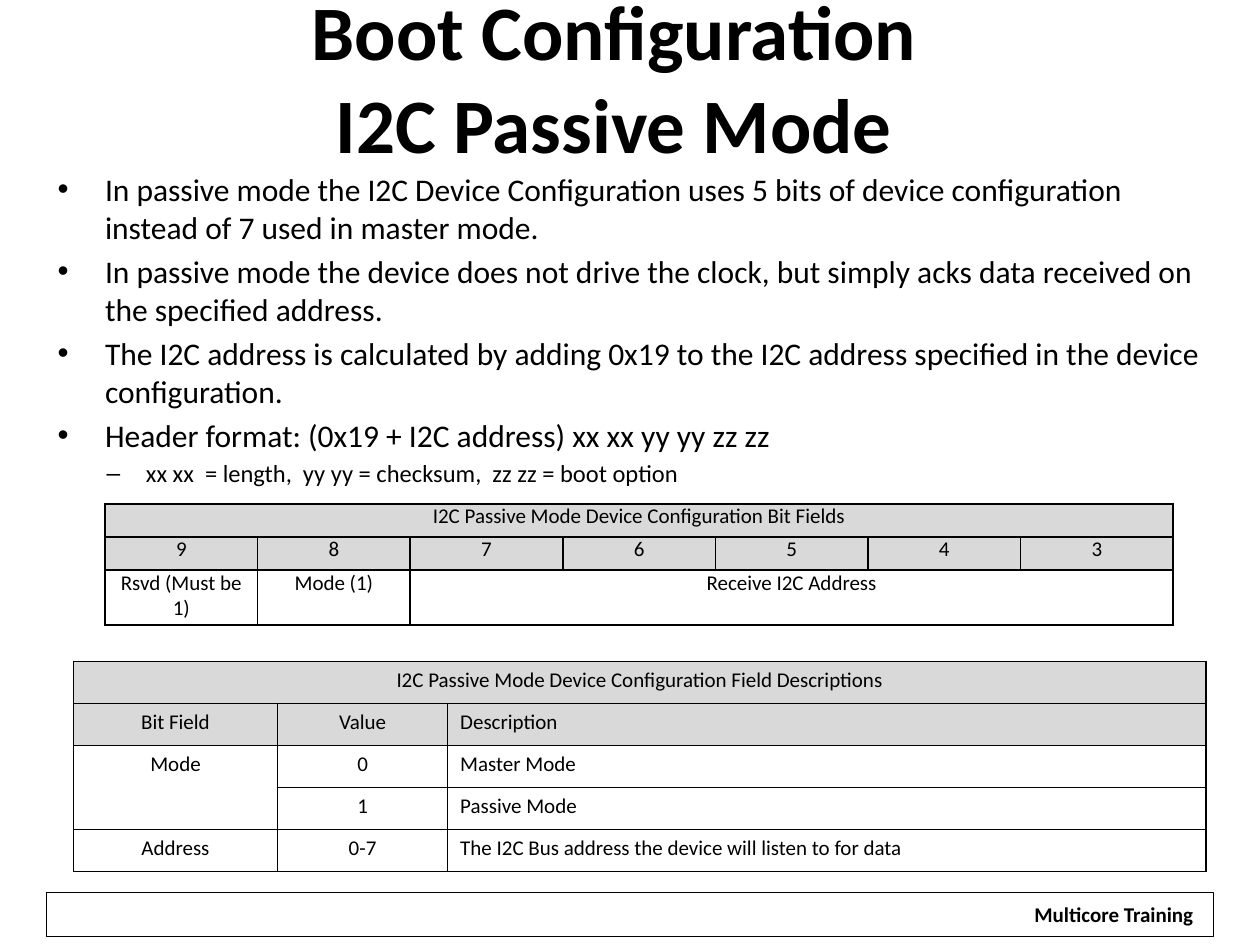
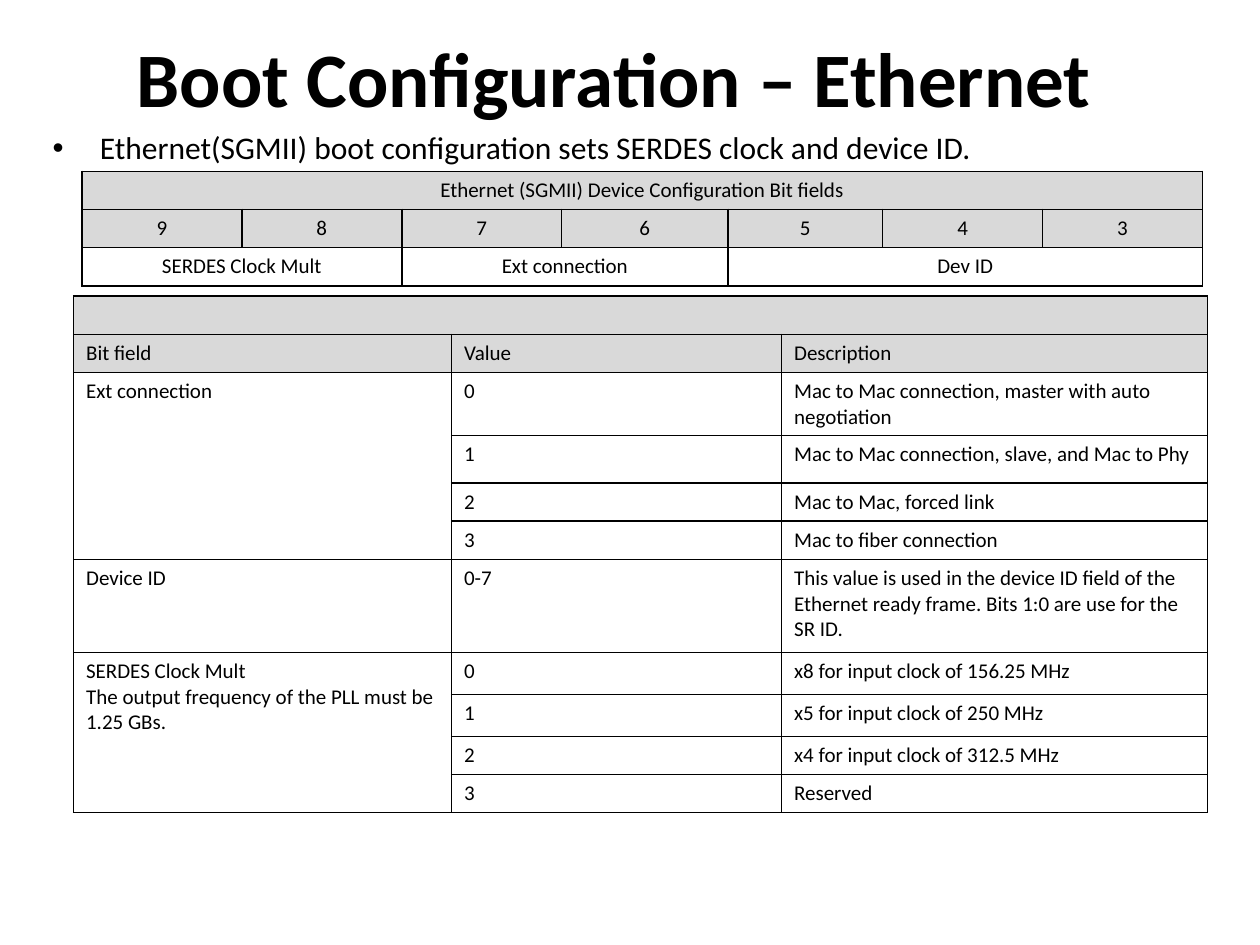
from lxml.etree import SubElement
from pptx import Presentation
from pptx.dml.color import RGBColor
from pptx.enum.shapes import MSO_SHAPE
from pptx.enum.text import MSO_ANCHOR, MSO_AUTO_SIZE, PP_ALIGN
from pptx.oxml.ns import qn
from pptx.util import Pt

BLACK = RGBColor(0x00, 0x00, 0x00)
WHITE = RGBColor(0xFF, 0xFF, 0xFF)
HEADER_GREY = RGBColor(0xD9, 0xD9, 0xD9)
FONT = "Calibri"
LEFT, CENTER = PP_ALIGN.LEFT, PP_ALIGN.CENTER

# In table rows, "<" continues the cell to the left and "^" the cell above.
BIT_NUMBERS = ["9", "8", "7", "6", "5", "4", "3"]
LINE_ROW = 21.8  # height of a row holding one line of text

SLIDES = [
    {
        "title": ["Boot Configuration", "I2C Passive Mode"],
        "body_box": (25.9, 93.6, 668.9, 369.4),
        "line_spacing": 1.0,
        "bullets": [
            (0, "In passive mode the I2C Device Configuration uses 5 bits of device "
                "configuration instead of 7 used in master mode."),
            (0, "In passive mode the device does not drive the clock, but simply acks "
                "data received on the specified address."),
            (0, "The I2C address is calculated by adding 0x19 to the I2C address "
                "specified in the device configuration."),
            (0, "Header format: (0x19 + I2C address) xx xx yy yy zz zz"),
            (1, "xx xx  = length,  yy yy = checksum,  zz zz = boot option"),
        ],
        "tables": [
            {
                "corner": (42, 378),
                "columns": [116.6, 97.2, 433.4],
                "heights": [24] * 5,
                "alignments": [CENTER, CENTER, LEFT],
                "margins": (7.2, 3.6),
                "rows": [
                    ["I2C Passive Mode Device Configuration Field Descriptions", "<", "<"],
                    ["Bit Field", "Value", "Description"],
                    ["Mode", "0", "Master Mode"],
                    ["^", "1", "Passive Mode"],
                    ["Address", "0-7",
                     "The I2C Bus address the device will listen to for data"],
                ],
            },
            {
                "corner": (60, 288),
                "columns": [87.2] * 7,
                "heights": [18.9, 18.9, 31.3],
                "alignments": [CENTER] * 7,
                "margins": (3.6, 0),
                "rows": [
                    ["I2C Passive Mode Device Configuration Bit Fields"] + ["<"] * 6,
                    BIT_NUMBERS,
                    ["Rsvd (Must be 1)", "Mode (1)", "Receive I2C Address"] + ["<"] * 4,
                ],
            },
        ],
        "footer": "Multicore Training",
    },
    {
        "title": ["Boot Configuration – Ethernet"],
        "body_box": (23, 72, 667.4, 30.2),
        "line_spacing": 0.9,
        "bullets": [
            (0, "Ethernet(SGMII) boot configuration sets SERDES clock and device ID."),
        ],
        "tables": [
            {
                "corner": (46.8, 97.9),
                "columns": [91.4, 91.4, 91.4, 95, 88.4, 91.4, 91.4],
                "heights": [LINE_ROW] * 3,
                "alignments": [CENTER] * 7,
                "margins": (7.2, 3.6),
                "rows": [
                    ["Ethernet (SGMII) Device Configuration Bit fields"] + ["<"] * 6,
                    BIT_NUMBERS,
                    ["SERDES Clock Mult", "<", "Ext connection", "<", "Dev ID", "<", "<"],
                ],
            },
            {
                "corner": (42, 169.2),
                "columns": [216, 188.6, 243.4],
                "heights": [LINE_ROW, LINE_ROW, 36.2, 27, LINE_ROW, LINE_ROW,
                            53.3, 24, 24, LINE_ROW, LINE_ROW],
                "alignments": [LEFT] * 3,
                "margins": (7.2, 3.6),
                "rows": [
                    ["", "<", "<"],
                    ["Bit field", "Value", "Description"],
                    ["Ext connection", "0",
                     "Mac to Mac connection, master with auto negotiation"],
                    ["^", "1", "Mac to Mac connection, slave, and Mac to Phy"],
                    ["^", "2", "Mac to Mac, forced link"],
                    ["^", "3", "Mac to fiber connection"],
                    ["Device ID", "0-7",
                     "This value is used in the device ID field of the Ethernet ready "
                     "frame. Bits 1:0 are use for the SR ID."],
                    ["SERDES Clock Mult\nThe output frequency of the PLL must be 1.25 GBs.",
                     "0", "x8 for input clock of 156.25 MHz"],
                    ["^", "1", "x5 for input clock of 250 MHz"],
                    ["^", "2", "x4 for input clock of 312.5 MHz"],
                    ["^", "3", "Reserved"],
                ],
            },
        ],
        "footer": None,
    },
]

TITLE_BOX = (18, 11.5, 666, 64.1)
FOOTER_BAND = (26.6, 509.8, 666.7, 25.2)
FOOTER_LABEL = (583.2, 511.9, 106.6, 21.6)
HEADER_ROWS = 2
# One entry per bullet level: character, text size, left margin, hanging indent.
BULLET_LEVELS = [("•", 18, 27, 27), ("–", 14, 50.4, 22.5)]


def points(values):
    return [Pt(value) for value in values]


def set_font(paragraph, size, bold=False):
    settings = {"name": FONT, "size": Pt(size), "bold": bold}
    for name, value in settings.items():
        setattr(paragraph.font, name, value)
    paragraph.font.color.rgb = BLACK


def add_title(slide, lines):
    title = slide.shapes.title
    title.left, title.top, title.width, title.height = points(TITLE_BOX)
    frame = title.text_frame
    frame.auto_size = MSO_AUTO_SIZE.NONE
    frame.vertical_anchor = MSO_ANCHOR.MIDDLE
    paragraph = frame.paragraphs[0]
    paragraph.alignment = CENTER
    for number, line in enumerate(lines):
        if number:
            paragraph.add_line_break()
        paragraph.add_run().text = line
    set_font(paragraph, 44, bold=True)


def add_bullets(slide, box, bullets, line_spacing):
    frame = slide.shapes.add_textbox(*points(box)).text_frame
    frame.word_wrap = True
    for number, (level, text) in enumerate(bullets):
        paragraph = frame.add_paragraph() if number else frame.paragraphs[0]
        character, size, margin, hanging = BULLET_LEVELS[level]
        paragraph.text = text
        paragraph.level = level
        paragraph.line_spacing = line_spacing
        paragraph.space_before = Pt(size * 0.2 if number else 0)
        properties = paragraph._p.get_or_add_pPr()
        properties.set("marL", str(Pt(margin)))
        properties.set("indent", str(-Pt(hanging)))
        SubElement(properties, qn("a:buFont"), typeface="Arial")
        SubElement(properties, qn("a:buChar"), char=character)
        set_font(paragraph, size)


def add_borders(cell):
    properties = cell._tc.get_or_add_tcPr()
    for side in ("a:lnL", "a:lnR", "a:lnT", "a:lnB"):
        line = SubElement(properties, qn(side), w=str(Pt(1)))
        fill = SubElement(line, qn("a:solidFill"))
        SubElement(fill, qn("a:srgbClr"), val=str(BLACK))


def merge_marked_cells(table, rows):
    """Merge every cell with the "<" cells right of it and the "^" cells below it."""
    for top, row in enumerate(rows):
        for left, text in enumerate(row):
            if text in ("<", "^"):
                continue
            right, bottom = left, top
            while right + 1 < len(row) and row[right + 1] == "<":
                right += 1
            while bottom + 1 < len(rows) and rows[bottom + 1][left] == "^":
                bottom += 1
            if (right, bottom) != (left, top):
                table.cell(top, left).merge(table.cell(bottom, right))


def add_grid(slide, corner, columns, heights, alignments, margins, rows):
    box = points((*corner, sum(columns), sum(heights)))
    table = slide.shapes.add_table(len(rows), len(columns), *box).table
    table.first_row = table.horz_banding = False
    for column, width in zip(table.columns, columns):
        column.width = Pt(width)
    for row, height in zip(table.rows, heights):
        row.height = Pt(height)

    for row_number, row in enumerate(rows):
        for column_number, text in enumerate(row):
            cell = table.cell(row_number, column_number)
            cell.margin_left = cell.margin_right = Pt(margins[0])
            cell.margin_top = cell.margin_bottom = Pt(margins[1])
            add_borders(cell)
            cell.fill.solid()
            cell.fill.fore_color.rgb = HEADER_GREY if row_number < HEADER_ROWS else WHITE
            cell.text = "" if text in ("<", "^") else text
            for paragraph in cell.text_frame.paragraphs:
                title_row = row_number == 0
                paragraph.alignment = CENTER if title_row else alignments[column_number]
                set_font(paragraph, 12)
    merge_marked_cells(table, rows)


def add_footer(slide, text):
    band = slide.shapes.add_shape(MSO_SHAPE.RECTANGLE, *points(FOOTER_BAND))
    band.shadow.inherit = False
    band.fill.background()
    band.line.color.rgb = BLACK
    band.line.width = Pt(0.75)

    label = slide.shapes.add_textbox(*points(FOOTER_LABEL))
    label.fill.solid()
    label.fill.fore_color.rgb = WHITE
    label.text_frame.word_wrap = False
    paragraph = label.text_frame.paragraphs[0]
    paragraph.text = text
    paragraph.alignment = CENTER
    set_font(paragraph, 12, bold=True)


def main():
    presentation = Presentation()
    presentation.slide_width, presentation.slide_height = Pt(720), Pt(540)
    title_only = presentation.slide_layouts[5]
    for content in SLIDES:
        slide = presentation.slides.add_slide(title_only)
        if content["footer"]:
            add_footer(slide, content["footer"])
        add_title(slide, content["title"])
        add_bullets(slide, content["body_box"], content["bullets"], content["line_spacing"])
        for table in content["tables"]:
            add_grid(slide, **table)
    presentation.save("out.pptx")


if __name__ == "__main__":
    main()
